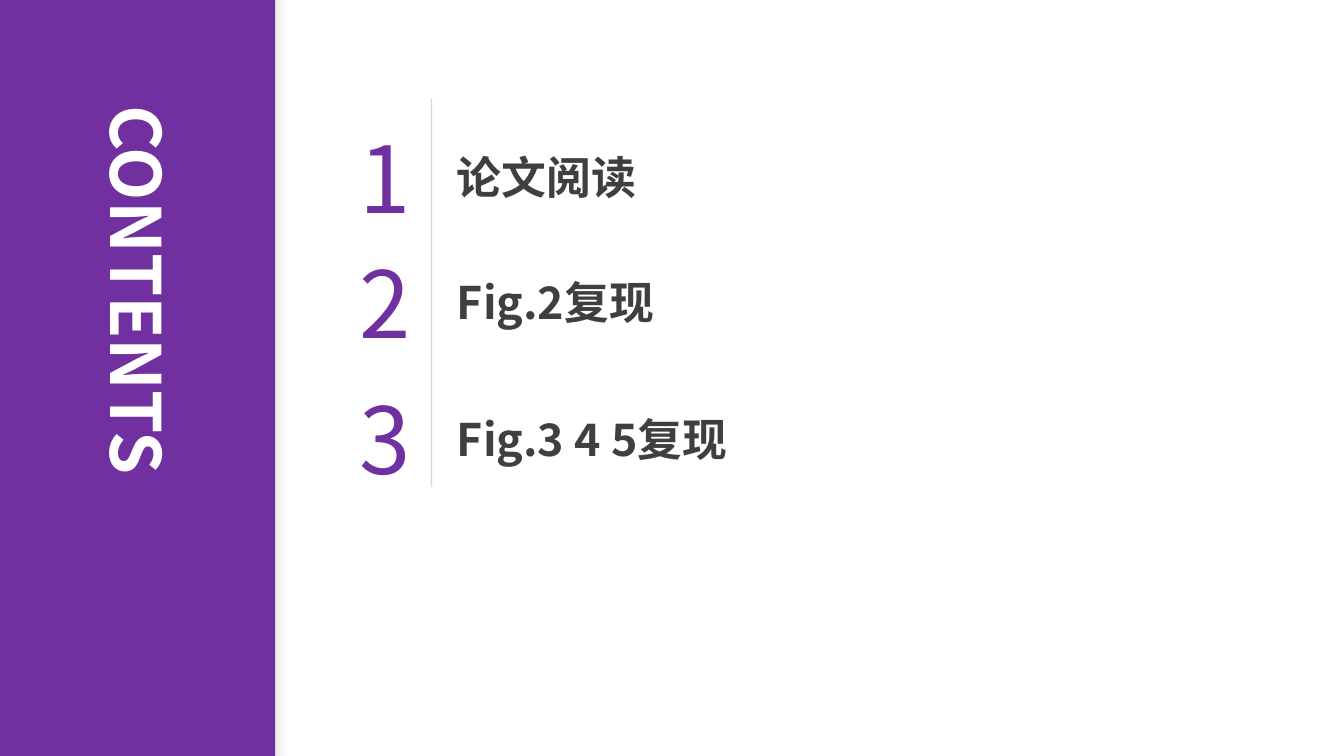
from lxml import etree
from pptx import Presentation
from pptx.dml.color import RGBColor
from pptx.enum.shapes import MSO_CONNECTOR, MSO_SHAPE
from pptx.enum.text import MSO_AUTO_SIZE, PP_ALIGN
from pptx.oxml.ns import qn
from pptx.util import Pt

RECT = MSO_SHAPE.RECTANGLE
LINE = MSO_CONNECTOR.STRAIGHT
GROW = MSO_AUTO_SIZE.SHAPE_TO_FIT_TEXT
LEFT, MID = PP_ALIGN.LEFT, PP_ALIGN.CENTER

FACE = "Noto Sans CJK JP"
PURPLE, GREY, DARK, WHITE = "7030A0", "969F98", "3F403E", "FFFFFF"

HEAD = {"size": Pt(49.5), "bold": True}
LABEL = {"size": Pt(32), "bold": True}
DIGIT = {"size": Pt(66), "bold": False}

# Label text and top of its box, in points
ITEMS = [("论文阅读", 103.7), ("Fig.2复现", 193), ("Fig.3 4 5复现", 290.2)]
RISE = 20.9  # a number's box starts this far above its label


def color(code):
    return RGBColor.from_string(code)


def node(root, tag, **attrs):
    return etree.SubElement(root, qn(tag), attrs)


def add_text(slide, text, box, style, code, align=LEFT, turn=0, space=None):
    shape = slide.shapes.add_textbox(*map(Pt, box))
    shape.rotation = turn
    frame = shape.text_frame
    frame.word_wrap = True
    frame.auto_size = GROW
    para = frame.paragraphs[0]
    para.alignment = align
    run = para.add_run()
    run.text = text
    for name, value in {"name": FACE, **style}.items():
        setattr(run.font, name, value)
    run.font.color.rgb = color(code)
    props = run.font._element
    node(props, "a:ea", typeface=FACE)
    if space is not None:
        props.set("spc", str(round(space * 100)))


def add_band(slide, box):
    band = slide.shapes.add_shape(RECT, *map(Pt, box))
    band.fill.solid()
    band.fill.fore_color.rgb = color(PURPLE)
    band.line.fill.background()
    # Soft shadow on all sides
    band.shadow.inherit = False
    effects = band._element.spPr.find(qn("a:effectLst"))
    shade = node(effects, "a:outerShdw", blurRad=str(Pt(10)), dist="0",
                 dir="0", algn="ctr", rotWithShape="0")
    tint = node(shade, "a:srgbClr", val=GREY)
    node(tint, "a:alpha", val="40000")


def add_rule(slide, ends):
    rule = slide.shapes.add_connector(LINE, *map(Pt, ends))
    rule.line.width = Pt(1)
    rule.line.color.rgb = color(GREY)
    props = rule._element.spPr
    tint = next(props.iter(qn("a:srgbClr")))
    node(tint, "a:alpha", val="40000")
    node(props, "a:effectLst")


def main():
    deck = Presentation()
    deck.slide_width, deck.slide_height = Pt(960), Pt(540)
    slide = deck.slides.add_slide(deck.slide_layouts[6])

    # Numbered list beside a thin rule
    add_rule(slide, (308.2, 70.6, 308.2, 347.8))
    for count, (text, top) in enumerate(ITEMS, 1):
        add_text(slide, text, (319.2, top, 286, 46), LABEL, DARK)
        add_text(slide, str(count), (249.6, top - RISE, 44.6, 87.1),
                 DIGIT, PURPLE, MID, space=-2.2)

    # Side band with the turned heading
    add_band(slide, (0, -5.8, 196.6, 550.8))
    add_text(slide, "CONTENTS", (-103.7, 236.9, 404.6, 67), HEAD, WHITE,
             turn=90)

    deck.save("out.pptx")


if __name__ == "__main__":
    main()
